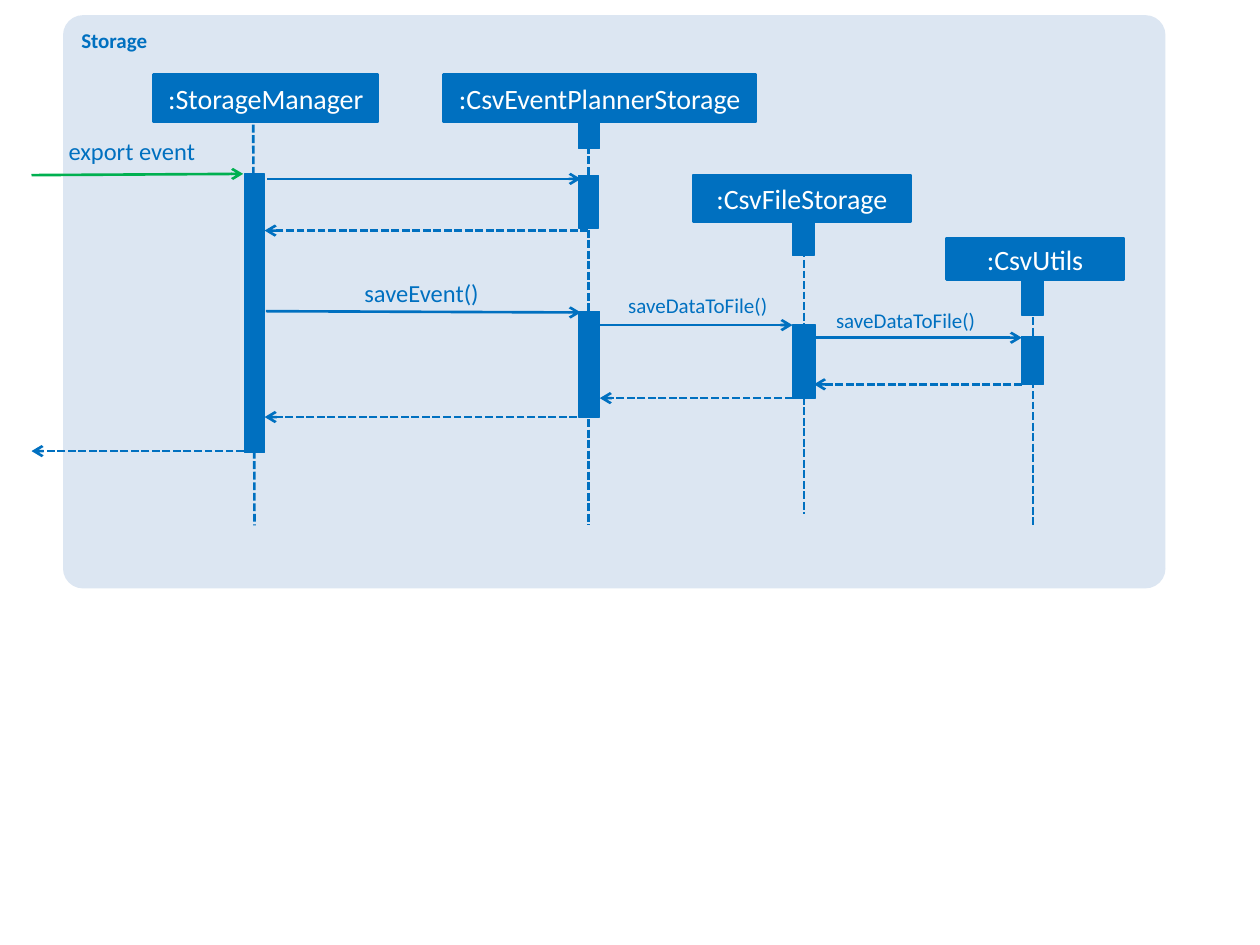
from lxml import etree
from pptx import Presentation
from pptx.dml.color import RGBColor
from pptx.enum.dml import MSO_LINE
from pptx.enum.shapes import MSO_CONNECTOR, MSO_SHAPE
from pptx.enum.text import MSO_ANCHOR, MSO_AUTO_SIZE, PP_ALIGN
from pptx.oxml.ns import qn
from pptx.util import Inches, Pt

COLORS = {"blue": "0070C0", "panel": "DCE6F2", "green": "00B050", "white": "FFFFFF"}


def rgb(name):
    return RGBColor.from_string(COLORS[name])


def write_text(frame, text, size=16, color="blue", bold=False,
               align=PP_ALIGN.LEFT, anchor=MSO_ANCHOR.TOP):
    frame.vertical_anchor = anchor
    paragraph = frame.paragraphs[0]
    paragraph.alignment = align
    run = paragraph.add_run()
    run.text = text
    run.font.name = "Calibri"
    run.font.size = Pt(size)
    run.font.bold = bold
    run.font.color.rgb = rgb(color)


class SequenceDiagram:
    line_width = 1.5
    bar_line_width = 0.75

    def __init__(self, slide):
        self.slide = slide

    def box(self, left, top, width, height, kind=MSO_SHAPE.RECTANGLE,
            fill="blue", line_width=None):
        shape = self.slide.shapes.add_shape(
            kind, Inches(left), Inches(top), Inches(width), Inches(height))
        shape.shadow.inherit = False
        shape.fill.solid()
        shape.fill.fore_color.rgb = rgb(fill)
        if line_width is None:
            shape.line.fill.background()
        else:
            shape.line.color.rgb = rgb(fill)
            shape.line.width = Pt(line_width)
        return shape

    def panel(self, text, *bounds):
        shape = self.box(*bounds, kind=MSO_SHAPE.ROUNDED_RECTANGLE, fill="panel")
        shape.adjustments[0] = 0.035
        write_text(shape.text_frame, text, size=12, bold=True)

    def header(self, text, *bounds):
        shape = self.box(*bounds, line_width=self.line_width)
        shape.text_frame.word_wrap = True
        write_text(shape.text_frame, text, color="white",
                   align=PP_ALIGN.CENTER, anchor=MSO_ANCHOR.MIDDLE)

    def line(self, start, end, color="blue", dashed=False, arrow=False):
        connector = self.slide.shapes.add_connector(
            MSO_CONNECTOR.STRAIGHT, *map(Inches, start + end))
        connector.line.color.rgb = rgb(color)
        connector.line.width = Pt(self.line_width)
        if dashed:
            connector.line.dash_style = MSO_LINE.SQUARE_DOT
        if arrow:
            outline = connector.line._get_or_add_ln()
            etree.SubElement(outline, qn("a:tailEnd"), type="arrow")
        etree.SubElement(connector._element.spPr, qn("a:effectLst"))

    def participant(self, name, header, lifeline, bars):
        self.line(*lifeline, dashed=True)
        self.header(name, *header)
        for bar in bars:
            self.box(*bar, line_width=self.bar_line_width)

    def label(self, text, left, top, width, size):
        height = 0.24 if size == 14 else 0.2
        shape = self.slide.shapes.add_textbox(
            Inches(left), Inches(top), Inches(width), Inches(height))
        frame = shape.text_frame
        frame.word_wrap = True
        frame.auto_size = MSO_AUTO_SIZE.SHAPE_TO_FIT_TEXT
        frame.margin_left = frame.margin_right = 0
        frame.margin_top = frame.margin_bottom = 0
        write_text(frame, text, size=size, align=PP_ALIGN.RIGHT)


presentation = Presentation()
presentation.slide_width = Inches(10)
presentation.slide_height = Inches(7.5)
slide = presentation.slides.add_slide(presentation.slide_layouts[6])
diagram = SequenceDiagram(slide)

diagram.panel("Storage", 0.5, 0.12, 8.75, 4.55)

participants = [
    (":StorageManager", (1.22, 0.59, 1.78, 0.38), ((2.01, 0.99), (2.02, 4.17)),
     [(1.94, 1.38, 0.16, 2.21)]),
    (":CsvEventPlannerStorage", (3.52, 0.59, 2.48, 0.38), ((4.67, 0.99), (4.67, 4.17)),
     [(4.59, 0.88, 0.17, 0.3), (4.59, 1.39, 0.16, 0.42), (4.59, 2.47, 0.17, 0.84)]),
    (":CsvFileStorage", (5.5, 1.39, 1.73, 0.37), ((6.38, 1.73), (6.38, 4.08)),
     [(6.29, 1.73, 0.17, 0.3), (6.29, 2.58, 0.18, 0.58)]),
    (":CsvUtils", (7.51, 1.89, 1.41, 0.33), ((8.2, 2.52), (8.2, 4.17)),
     [(8.11, 2.2, 0.17, 0.3), (8.11, 2.67, 0.17, 0.38)]),
]
for participant in participants:
    diagram.participant(*participant)

diagram.line((0.25, 1.39), (1.93, 1.38), color="green", arrow=True)

calls = [
    ((2.12, 1.42), (4.61, 1.42)),
    ((2.11, 2.47), (4.61, 2.48)),
    ((4.76, 2.58), (6.29, 2.58)),
    ((6.46, 2.68), (8.11, 2.68)),
]
for start, end in calls:
    diagram.line(start, end, arrow=True)

replies = [
    (4.67, 2.1, 1.83),
    (8.11, 6.46, 3.05),
    (6.29, 4.76, 3.16),
    (4.58, 2.1, 3.31),
    (2.02, 0.25, 3.58),
]
for sender, receiver, level in replies:
    diagram.line((sender, level), (receiver, level), dashed=True, arrow=True)

labels = [
    ("export event", 0.25, 1.08, 1.3, 14),
    ("saveEvent()", 2.86, 2.21, 0.94, 14),
    ("saveDataToFile()", 4.95, 2.32, 1.14, 12),
    ("saveDataToFile()", 6.6, 2.44, 1.14, 12),
]
for label in labels:
    diagram.label(*label)

presentation.save("out.pptx")
